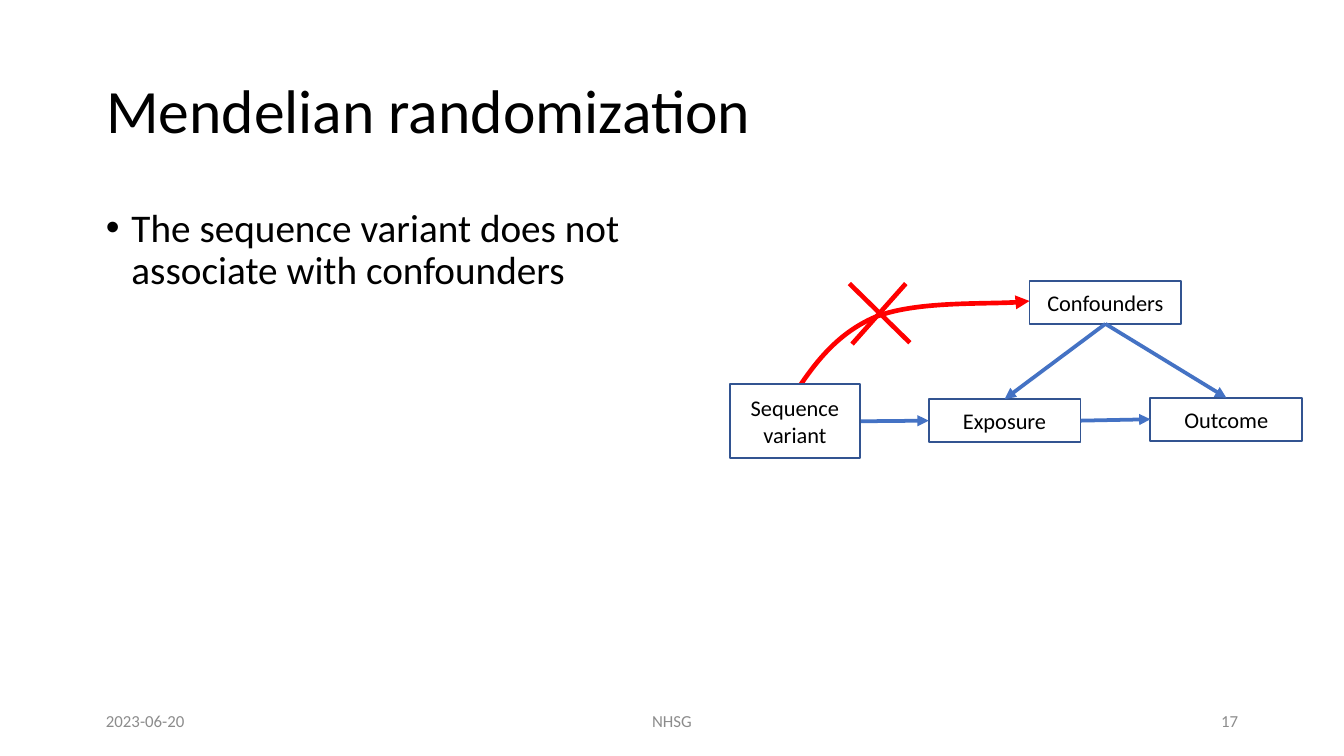
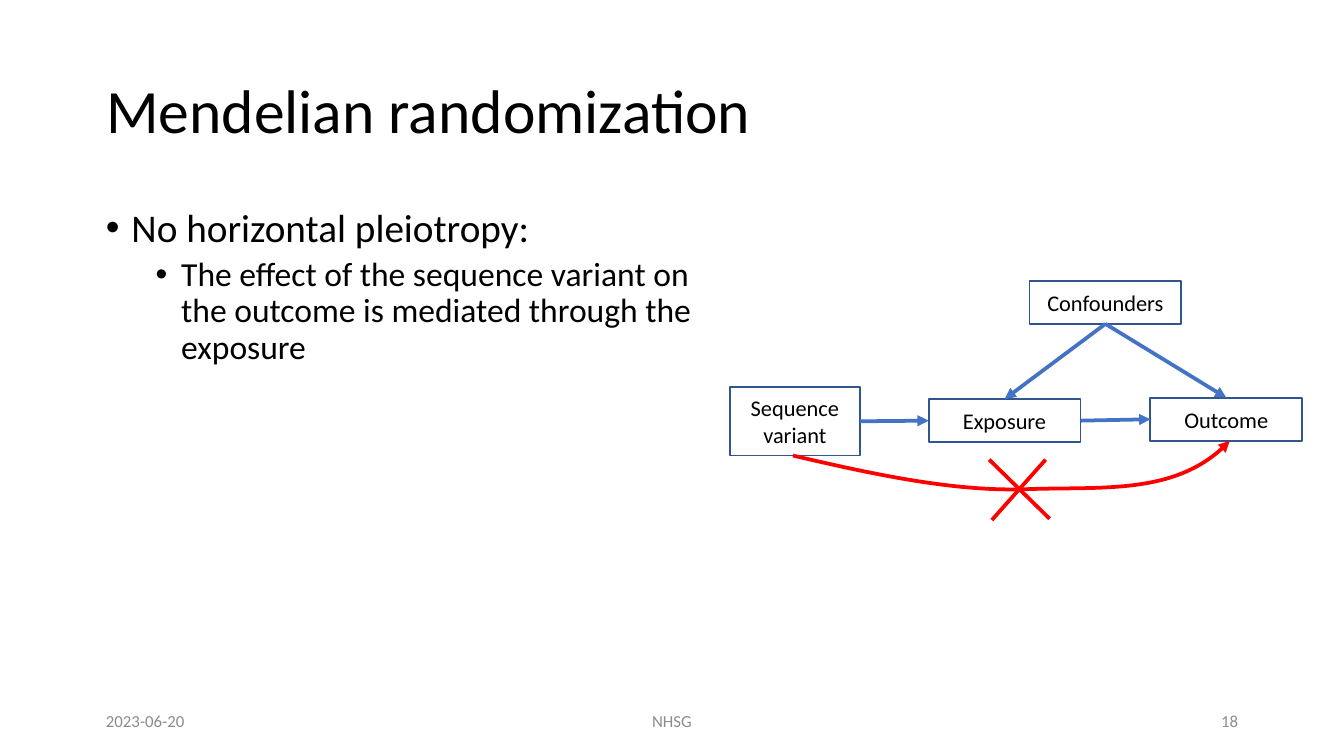
import pptx
import pptx.util
import pptx.dml.color
import pptx.enum.shapes
import pptx.enum.text
import pptx.oxml
import pptx.oxml.ns

Inches, Pt = pptx.util.Inches, pptx.util.Pt
ALIGN = pptx.enum.text.PP_ALIGN
ANCHOR = pptx.enum.text.MSO_ANCHOR
SHAPE = pptx.enum.shapes.MSO_SHAPE
STRAIGHT = pptx.enum.shapes.MSO_CONNECTOR.STRAIGHT
qn = pptx.oxml.ns.qn

SLIDE_WIDTH = 10
SLIDE_HEIGHT = SLIDE_WIDTH * 9 / 16
FONT = "Calibri"
COLORS = {"text": "000000", "footer": "8C8C8C", "box": "FFFFFF",
          "border": "325491", "arrow": "4472C4", "blocked": "FF0000"}
TOP, LEFT, BOTTOM, RIGHT = range(4)  # connection sites of a rectangle

# Regions: left, top, width, height
TITLE_BOX = (0.69, 0.3, 8.62, 1.09)
BODY_BOX = (0.69, 1.5, 4.8, 3.57)
DIAGRAM_BOX = (5.43, 2.09, 4.26, 1.78)
FOOTER_BOX = (0.69, 5.21, 8.62, 0.3)

# Text size, left margin and space before for each bullet level
BULLETS = [(21, 0.19, 7.5), (18, 0.56, 3.8)]
HANG = 0.19


def rgb(name):
    return pptx.dml.color.RGBColor.from_string(COLORS[name])


def add_element(parent, tag, **attrs):
    child = parent.makeelement(qn(tag), attrs)
    parent.append(child)
    return child


def place(s, box):
    s.left, s.top, s.width, s.height = map(Inches, box)


def style(p, size, color="text", align=ALIGN.LEFT):
    p.alignment = align
    p.font.name, p.font.size = FONT, Pt(size)
    p.font.color.rgb = rgb(color)


def style_line(s, color, width, arrow=False):
    s.line.color.rgb, s.line.width = rgb(color), Pt(width)
    if arrow:
        add_element(s.line._get_or_add_ln(), "a:tailEnd", type="triangle")


def add_textbox(slide, box):
    s = slide.shapes.add_textbox(*map(Inches, box))
    s.text_frame.word_wrap = True
    return s.text_frame


def add_title(slide, text, box):
    s = slide.shapes.title
    place(s, box)
    tf = s.text_frame
    tf.text = text
    tf.auto_size = pptx.enum.text.MSO_AUTO_SIZE.NONE
    tf.vertical_anchor = ANCHOR.MIDDLE
    style(tf.paragraphs[0], 33)
    tf.paragraphs[0].line_spacing = 0.9


def add_bullets(slide, bullets, box):
    tf = add_textbox(slide, box)
    for i, (level, text) in enumerate(bullets):
        size, margin, before = BULLETS[level]
        p = tf.add_paragraph() if i else tf.paragraphs[0]
        p.text, p.level = text, level
        pPr = p._p.get_or_add_pPr()
        pPr.set("marL", str(Inches(margin)))
        pPr.set("indent", str(-Inches(HANG)))
        add_element(pPr, "a:buFont", typeface="Arial")
        add_element(pPr, "a:buChar", char="•")
        style(p, size)
        p.line_spacing = 0.9
        if i:
            p.space_before = Pt(before)


def add_footer(slide, number, box):
    left, top, width, height = box
    side, middle = 2.25, 3.38
    parts = [("2023-06-20", left, side, ALIGN.LEFT),
             ("NHSG", left + (width - middle) / 2, middle, ALIGN.CENTER),
             (str(number), left + width - side, side, ALIGN.RIGHT)]
    for text, x, w, align in parts:
        tf = add_textbox(slide, (x, top, w, height))
        tf.vertical_anchor = ANCHOR.MIDDLE
        tf.text = text
        style(tf.paragraphs[0], 9, "footer", align)


def add_node(slide, text, box):
    s = slide.shapes.add_shape(SHAPE.RECTANGLE, *map(Inches, box))
    s.shadow.inherit = False
    s.fill.solid()
    s.fill.fore_color.rgb = rgb("box")
    style_line(s, "border", 1)
    tf = s.text_frame
    tf.text = text
    tf.vertical_anchor = ANCHOR.MIDDLE
    for p in tf.paragraphs:
        style(p, 12, align=ALIGN.CENTER)
    return s


def add_line(slide, start, end, color, width, arrow=False):
    s = slide.shapes.add_connector(STRAIGHT, *map(Inches, start + end))
    style_line(s, color, width, arrow)
    add_element(s._element.spPr, "a:effectLst")
    return s


def add_curve(slide, points, width):
    """Draw a start point followed by groups of three Bézier points."""
    start, *rest = [(Inches(x), Inches(y)) for x, y in points]
    builder = slide.shapes.build_freeform(*start)
    builder.add_line_segments(rest, close=False)
    s = builder.convert_to_shape()
    segments = list(s._element.iter(qn("a:lnTo")))
    outline = segments[0].getparent()
    for i in range(0, len(segments), 3):
        bezier = add_element(outline, "a:cubicBezTo")
        for segment in segments[i:i + 3]:
            bezier.append(segment[0])
            outline.remove(segment)
    s.fill.background()
    s.shadow.inherit = False
    style_line(s, "blocked", width, arrow=True)


def add_diagram(slide, box, variant, curve, cross, width, variant_in_front):
    """Causal diagram with one crossed-out path; inner places are relative to box."""
    x0, y0 = box[:2]

    def at(x, y):
        return x0 + x, y0 + y

    # Variables
    variant_y, variant_h = variant
    seq = add_node(slide, "Sequence\nvariant", at(0, variant_y) + (0.97, variant_h))
    exposure, outcome, confounders = [
        add_node(slide, text, at(x, y) + (1.13, 0.32))
        for text, x, y in [("Exposure", 1.48, 0.88), ("Outcome", 3.13, 0.87),
                           ("Confounders", 2.23, 0)]]

    # Causal arrows
    for source, source_site, target, target_site in [
            (seq, RIGHT, exposure, LEFT), (exposure, RIGHT, outcome, LEFT),
            (confounders, BOTTOM, exposure, TOP), (confounders, BOTTOM, outcome, TOP)]:
        s = add_line(slide, (0, 0), (1, 1), "arrow", 2, arrow=True)
        s.begin_connect(source, source_site)
        s.end_connect(target, target_site)

    # Blocked path and its cross
    add_curve(slide, [at(x, y) for x, y in curve], width)
    x, y = cross
    for start, end in [((0, 0), (0.45, 0.44)), ((0.42, 0), (0.02, 0.45))]:
        add_line(slide, at(x + start[0], y + start[1]), at(x + end[0], y + end[1]),
                 "blocked", width)
    if variant_in_front:
        slide.shapes._spTree.append(seq._element)


def add_assumption_slide(prs, number, bullets, diagram):
    slide = prs.slides.add_slide(prs.slide_layouts[5])
    add_title(slide, "Mendelian randomization", TITLE_BOX)
    add_bullets(slide, bullets, BODY_BOX)
    add_diagram(slide, DIAGRAM_BOX, **diagram)
    add_footer(slide, number, FOOTER_BOX)


def main():
    prs = pptx.Presentation()
    prs.slide_width, prs.slide_height = Inches(SLIDE_WIDTH), Inches(SLIDE_HEIGHT)

    # No path from variant to confounders
    add_assumption_slide(
        prs, 17,
        [(0, "The sequence variant does not associate with confounders")],
        dict(variant=(0.77, 0.55), cross=(0.89, 0.02), width=2.5, variant_in_front=True,
             curve=[(0.45, 0.89), (0.61, 0.64), (0.78, 0.4), (1.08, 0.27),
                    (1.38, 0.15), (2.04, 0.18), (2.23, 0.15)]))

    # No direct path from variant to outcome
    add_assumption_slide(
        prs, 18,
        [(0, "No horizontal pleiotropy:"),
         (1, "The effect of the sequence variant on the outcome is mediated "
             "through the exposure")],
        dict(variant=(0.79, 0.51), cross=(1.93, 1.33), width=2, variant_in_front=False,
             curve=[(0.47, 1.3), (1.07, 1.44), (1.67, 1.57), (2.21, 1.55),
                    (2.75, 1.53), (3.34, 1.6), (3.72, 1.19)]))

    prs.save("out.pptx")


if __name__ == "__main__":
    main()
